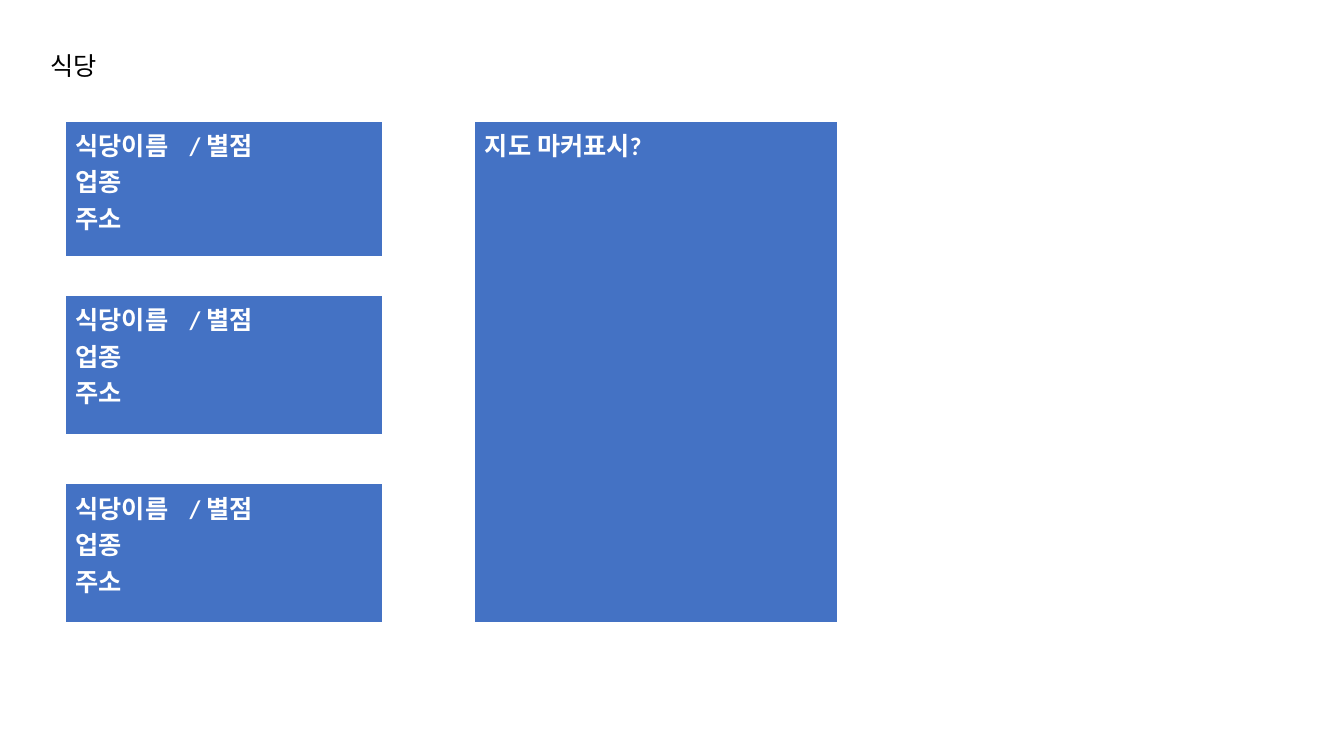
from lxml.etree import SubElement
from pptx import Presentation
from pptx.dml.color import RGBColor
from pptx.enum.text import MSO_ANCHOR, MSO_AUTO_SIZE, PP_ALIGN
from pptx.oxml.ns import qn
from pptx.util import Inches, Pt

WHITE, BLUE, BLACK = "FFFFFF", "4472C4", "000000"
LEFT, TOP = 0.65, 1.2
CARD_W = 3.14
CARDS = [(TOP, 1.36), (2.93, 1.39), (4.8, 1.39)]
MAP_BOX = (4.71, TOP, 3.6, 4.99)
TITLE_BOX = (0.4, 0.45, 6.43, 0.4)
CARD_TEXT = ["식당이름\t/ 별점", "업종", "주소"]
TAB = 1.13


def color(code):
    return RGBColor.from_string(code)


def write(para, text, code, bold=False):
    run = para.add_run()
    run.text = text
    font = run.font
    font.size, font.name, font.bold = Pt(18), "Calibri", bold
    font.color.rgb = color(code)


def set_tab(para, inches):
    tabs = SubElement(para._p.get_or_add_pPr(), qn("a:tabLst"))
    SubElement(tabs, qn("a:tab"), pos=str(Inches(inches)), algn="l")


def edge(cell):
    """Draw white borders, with a thicker one at the bottom."""
    props = cell._tc.get_or_add_tcPr()
    for side, width in zip("LRTB", (1, 1, 1, 3)):
        line = SubElement(props, qn(f"a:ln{side}"), w=str(Pt(width)))
        fill = SubElement(line, qn("a:solidFill"))
        SubElement(fill, qn("a:srgbClr"), val=WHITE)


def add_title(slide, box, text):
    title = slide.shapes.title
    title.left, title.top, title.width, title.height = map(Inches, box)
    frame = title.text_frame
    frame.word_wrap = True
    frame.auto_size = MSO_AUTO_SIZE.SHAPE_TO_FIT_TEXT
    frame.vertical_anchor = MSO_ANCHOR.TOP
    para = frame.paragraphs[0]
    para.alignment = PP_ALIGN.LEFT
    write(para, text, BLACK)


def add_panel(slide, box, lines):
    """Place a one-cell table that fills the box."""
    table = slide.shapes.add_table(1, 1, *map(Inches, box)).table
    table.first_row = table.horz_banding = False
    cell = table.cell(0, 0)
    edge(cell)
    cell.fill.solid()
    cell.fill.fore_color.rgb = color(BLUE)
    frame = cell.text_frame
    for i, line in enumerate(lines):
        para = frame.add_paragraph() if i else frame.paragraphs[0]
        if "\t" in line:
            set_tab(para, TAB)
        write(para, line, WHITE, bold=True)


def main():
    deck = Presentation()
    deck.slide_width, deck.slide_height = Inches(13.33), Inches(7.5)
    slide = deck.slides.add_slide(deck.slide_layouts[5])
    add_title(slide, TITLE_BOX, "식당")
    for top, height in CARDS:
        add_panel(slide, (LEFT, top, CARD_W, height), CARD_TEXT)
    add_panel(slide, MAP_BOX, ["지도 마커표시?"])
    deck.save("out.pptx")


if __name__ == "__main__":
    main()
